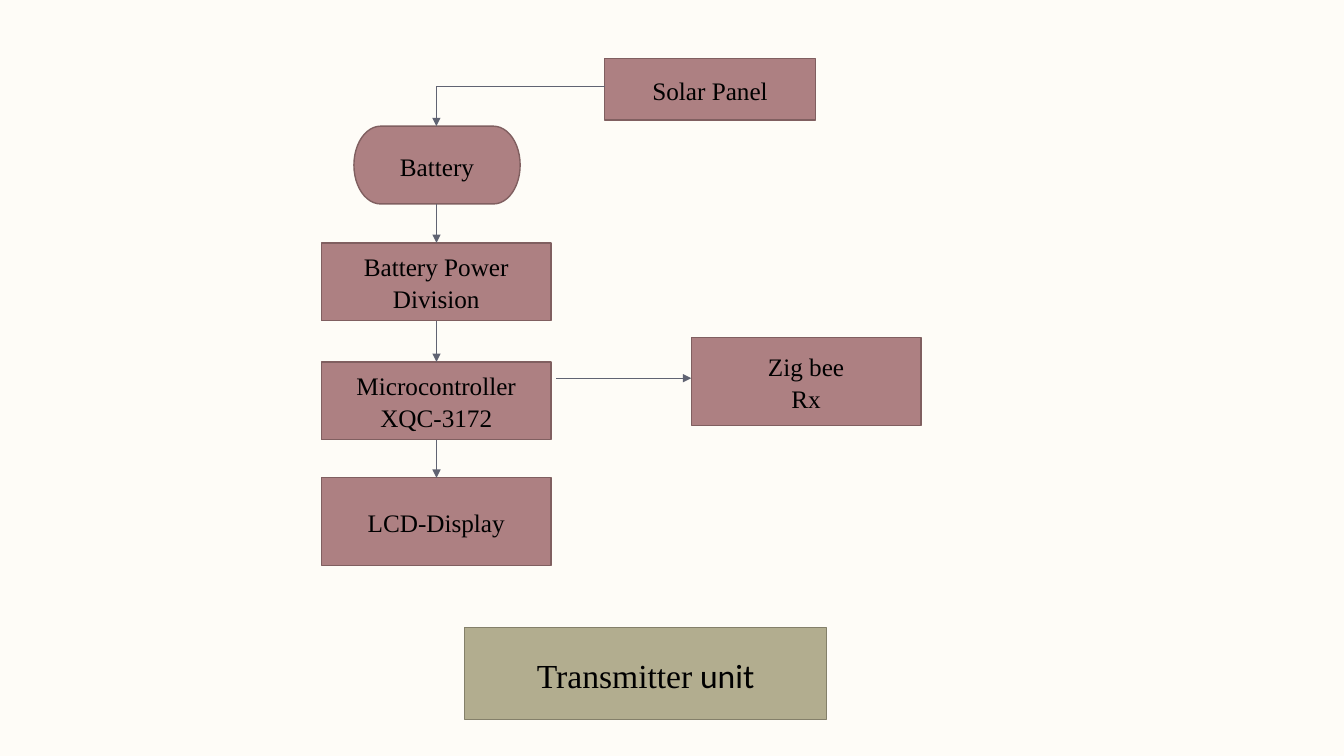
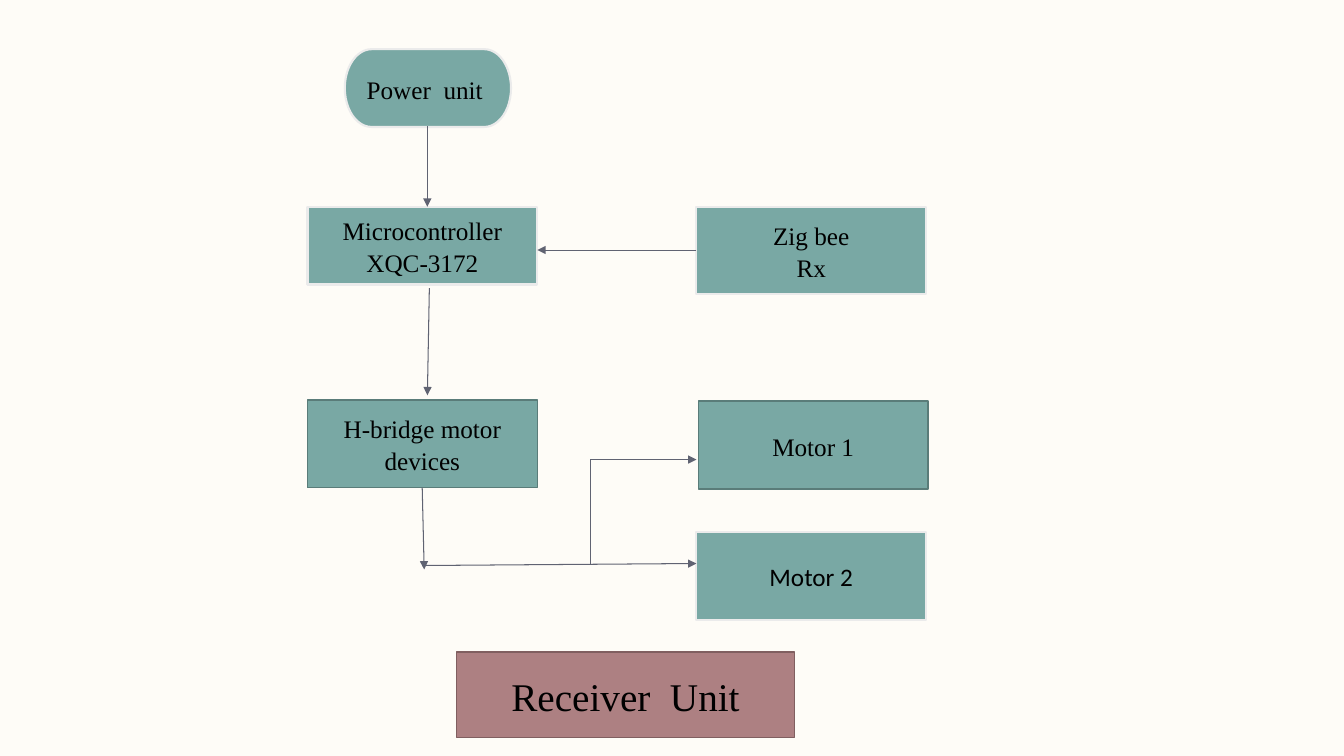
from dataclasses import dataclass

from lxml import etree
from pptx import Presentation, util as u
from pptx.dml.color import RGBColor
from pptx.enum import shapes, text
from pptx.oxml.ns import qn

# Shared look
CREAM = RGBColor(0xFE, 0xFC, 0xF7)
ROSE = RGBColor(0xAD, 0x80, 0x82)
PLUM = RGBColor(0x80, 0x5F, 0x60)
TEAL = RGBColor(0x79, 0xA8, 0xA4)
PINE = RGBColor(0x5A, 0x7C, 0x79)
SAND = RGBColor(0xB2, 0xAD, 0x8F)
OLIVE = RGBColor(0x84, 0x80, 0x6A)
MIST = RGBColor(0xEB, 0xEB, 0xEB)
SLATE = RGBColor(0x60, 0x63, 0x72)
BLACK = RGBColor(0, 0, 0)
SERIF, SANS = "Times New Roman", "Calibri"
RECT = shapes.MSO_SHAPE.FLOWCHART_PROCESS
PILL = shapes.MSO_SHAPE.FLOWCHART_TERMINATOR
WIDE, LOW, TALL = 5.79, 1.96, 2.21  # usual box width and heights, cm


@dataclass(frozen=True)
class Style:
    fill: RGBColor
    edge: RGBColor
    width: float = 1


@dataclass(frozen=True)
class Box:
    label: str
    left: float
    top: float
    style: Style
    height: float = LOW
    width: float = WIDE
    form: shapes.MSO_SHAPE = RECT
    size: int = 18
    font: str = SERIF
    end: str = ""  # closing words in the sans font


@dataclass(frozen=True)
class Link:
    x1: float
    y1: float
    x2: float
    y2: float
    head: bool = True
    bent: bool = False


ROSY = Style(ROSE, PLUM)
SANDY = Style(SAND, OLIVE)
PALE = Style(TEAL, MIST, 1.5)
DARK = Style(TEAL, PINE)


def apply(target: object, values: dict) -> None:
    for name, value in values.items():
        setattr(target, name, value)


def add_run(para, words: str, font: str, size: int) -> None:
    run = para.add_run()
    run.text = words
    apply(run.font, {"name": font, "size": u.Pt(size)})
    run.font.color.rgb = BLACK


def draw_box(slide, box: Box) -> None:
    shape = slide.shapes.add_shape(
        box.form, *map(u.Cm, (box.left, box.top, box.width, box.height)))
    shape.shadow.inherit = False
    shape.fill.solid()
    shape.fill.fore_color.rgb = box.style.fill
    shape.line.color.rgb = box.style.edge
    shape.line.width = u.Pt(box.style.width)
    frame = shape.text_frame
    apply(frame, {"word_wrap": True,
                  "vertical_anchor": text.MSO_ANCHOR.MIDDLE})
    for i, words in enumerate(box.label.split("\n")):
        para = frame.add_paragraph() if i else frame.paragraphs[0]
        apply(para, {"alignment": text.PP_ALIGN.CENTER,
                     "line_spacing": 1.06})
        add_run(para, words, box.font, box.size)
    if box.end:
        add_run(para, box.end, SANS, box.size)


def draw_link(slide, link: Link) -> None:
    kind = shapes.MSO_CONNECTOR
    line = slide.shapes.add_connector(
        kind.ELBOW if link.bent else kind.STRAIGHT,
        *map(u.Cm, (link.x1, link.y1, link.x2, link.y2)))
    line.line.color.rgb = SLATE
    line.line.width = u.Pt(0.75)
    props = line._element.spPr
    if link.bent:  # a single corner
        props.find(qn("a:prstGeom")).set("prst", "bentConnector2")
    if link.head:
        etree.SubElement(props.find(qn("a:ln")), qn("a:tailEnd"),
                         type="triangle")
    etree.SubElement(props, qn("a:effectLst"))


def draw_slide(deck, boxes: list[Box], links: list[Link]) -> None:
    slide = deck.slides.add_slide(deck.slide_layouts[6])
    slide.background.fill.solid()
    slide.background.fill.fore_color.rgb = CREAM
    for box in boxes:
        draw_box(slide, box)
    for link in links:
        draw_link(slide, link)


deck = Presentation()
apply(deck, {"slide_width": u.Cm(33.87), "slide_height": u.Cm(19.05)})

# Transmitter: a main column, joined from box to box
MID = 11
column = [
    Box("Battery", 8.92, 3.18, ROSY, width=4.19, form=PILL),
    Box("Battery Power\nDivision", 8.1, 6.12, ROSY),
    Box("Microcontroller\nXQC-3172", 8.1, 9.12, ROSY),
    Box("LCD-Display", 8.1, 12.04, ROSY, TALL),
]
sides = [
    Box("Solar Panel", 15.24, 1.47, ROSY, 1.55, 5.31),
    Box("Zig bee\nRx", 17.42, 8.51, ROSY, TALL),
    Box("Transmitter", 11.71, 15.82, SANDY, 2.31, 9.12, size=24,
        end=" unit"),
]
steps = [Link(MID, a.top + a.height, MID, b.top)
         for a, b in zip(column, column[1:])]
draw_slide(deck, column + sides, steps + [
    Link(14.02, 9.53, 17.42, 9.53),
    Link(15.24, 2.18, MID, 3.18, bent=True),
])

# Receiver: control on the left, radio and motors on the right
draw_slide(deck, [
    Box("Power  unit ", 8.69, 1.24, PALE, width=4.19, form=PILL),
    Box("Microcontroller\nXQC-3172", 7.75, 5.21, PALE),
    Box("Zig bee\nRx", 17.55, 5.21, PALE, TALL),
    Box("H-bridge motor\ndevices", 7.75, 10.08, DARK, TALL),
    Box("Motor 1", 17.6, 10.11, DARK, TALL),
    Box("Motor 2", 17.55, 13.41, PALE, TALL, font=SANS),
    Box("Receiver  Unit", 11.51, 16.43, ROSY, 2.16, 8.51, size=28),
], [
    Link(10.77, 3.18, 10.77, 5.21),
    Link(17.55, 6.3, 13.54, 6.3),
    Link(10.82, 7.26, 10.77, 9.96),
    Link(10.64, 12.29, 10.69, 14.35),
    Link(10.64, 14.25, 17.55, 14.2),
    Link(14.88, 11.58, 17.55, 11.58),
    Link(14.88, 11.58, 14.88, 14.2, head=False),
])

deck.save("out.pptx")
